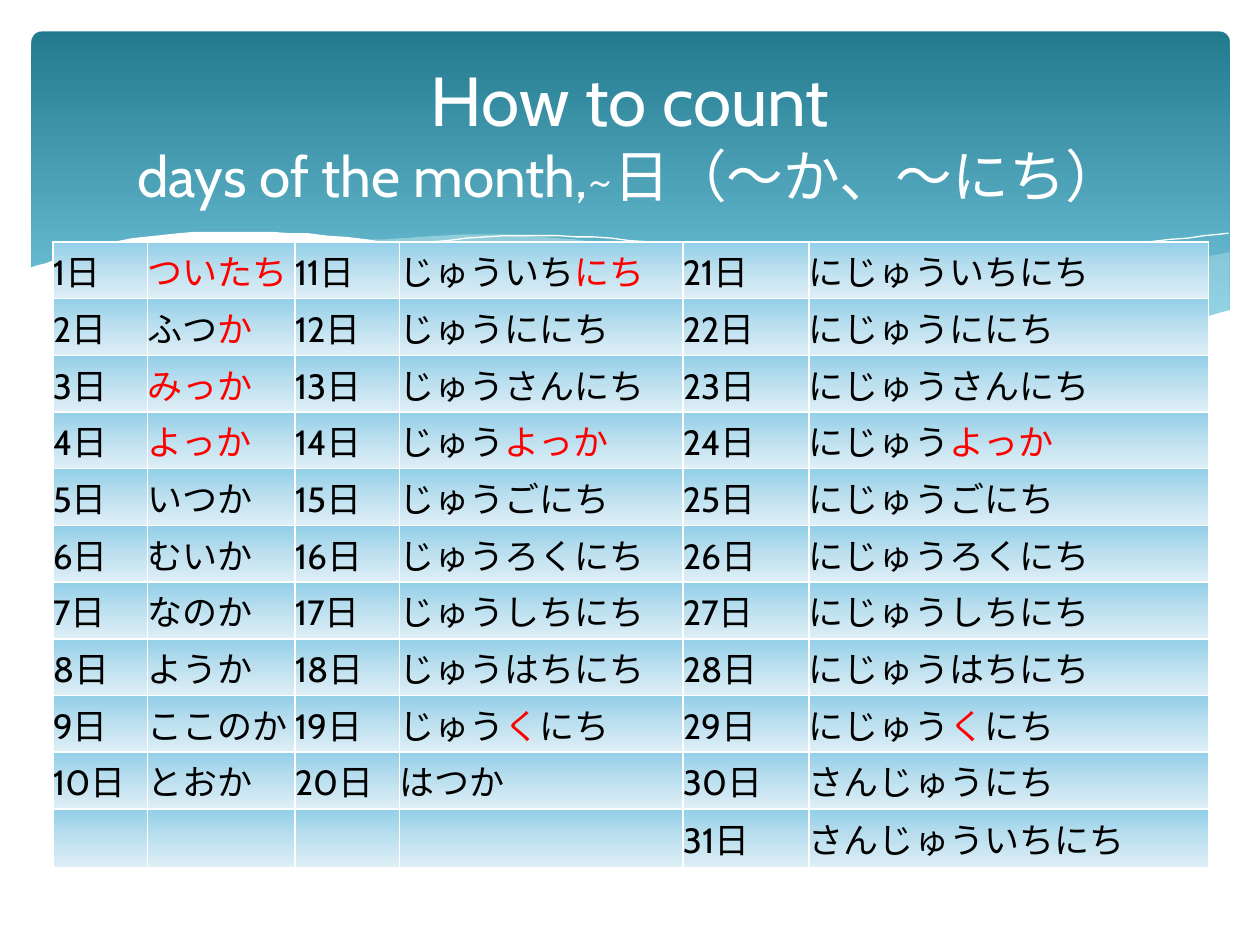
from dataclasses import dataclass

from lxml import etree
from pptx import Presentation
from pptx import util as u
from pptx.dml import color as col
from pptx.enum import shapes as sh
from pptx.enum import text as tx
from pptx.oxml import ns

PX = 9144
STEPS = 8


@dataclass(frozen=True)
class Theme:
    font: str = "Cabin"
    white: str = "FFFFFF"
    ink: str = "000000"
    red: str = "FF0000"
    foam: str = "DEF5FA"
    sea: tuple = ((0, "227A8F"), (90, "7ACBE0"))
    sky: tuple = ((0, "92CFE8"), (50, "BDE0EF"), (100, "DFEFF6"))
    head: float = 39.6
    sub: float = 32.4
    body: int = 20


@dataclass(frozen=True)
class Wave:
    edges: tuple
    fill: str = ""
    alpha: int = 100


T = Theme()

WAVES = (
    Wave((((976, 200), (861, 223), (753, 248), (661, 265)),
          ((661, 265), (769, 277), (889, 272), (976, 247))), T.foam, 29),
    Wave((((893, 273), (775, 254), (629, 222), (514, 198), (399, 186), (286, 191)),
          ((286, 191), (404, 211), (566, 248), (722, 274), (893, 273))), T.foam, 40),
    Wave((((309, 195), (416, 187), (533, 194), (695, 219), (907, 272)),)),
    Wave((((613, 257), (748, 223), (866, 199), (975, 185)),)),
    Wave((((977, 246), (875, 273), (778, 276), (648, 262), (447, 220),
           (292, 190), (177, 184), (95, 191), (23, 213)),
          ((23, 329), (977, 329))), T.white),
)

COLS = (75, 117, 83, 225, 100, 317)
ROWS = (45,) * 10 + (47,)

DAYS = (
    "|ついたち", "ふつ|か", "|みっか", "|よっか", "いつか",
    "むいか", "なのか", "ようか", "ここのか", "とおか",
    "じゅういち|にち", "じゅうににち", "じゅうさんにち", "じゅう|よっか", "じゅうごにち",
    "じゅうろくにち", "じゅうしちにち", "じゅうはちにち", "じゅう|く|にち", "はつか",
    "にじゅういちにち", "にじゅうににち", "にじゅうさんにち", "にじゅう|よっか", "にじゅうごにち",
    "にじゅうろくにち", "にじゅうしちにち", "にじゅうはちにち", "にじゅう|く|にち", "さんじゅうにち",
    "さんじゅういちにち",
)


def px(n: int) -> int:
    return n * PX


def rgb(code: str) -> col.RGBColor:
    return col.RGBColor.from_string(code)


def node(up, tag: str, **attrs):
    return etree.SubElement(up, ns.qn(tag), {k: str(v) for k, v in attrs.items()})


def tint(up, code: str) -> None:
    node(up, "a:srgbClr", val=code)


def blend(props, stops: tuple) -> None:
    grad = node(props, "a:gradFill", rotWithShape=1)
    row = node(grad, "a:gsLst")
    for pos, code in stops:
        tint(node(row, "a:gs", pos=pos * 1000), code)
    node(grad, "a:lin", ang=5400000, scaled=0)


def write(par, text: str, *, size: float = T.body, color: str = T.ink) -> None:
    run = par.add_run()
    run.text = text
    run.font.name = T.font
    run.font.size = u.Pt(size)
    run.font.color.rgb = rgb(color)


def panel(slide) -> None:
    box = slide.shapes.add_shape(
        sh.MSO_SHAPE.ROUNDED_RECTANGLE, px(25), px(25), px(951), px(270))
    box.adjustments[0] = 0.03
    blend(box.element.spPr, T.sea)
    box.line.fill.background()
    box.shadow.inherit = False


def mix(a: float, b: float, c: float, d: float, t: float) -> float:
    bend = 2 * a - 5 * b + 4 * c - d
    turn = 3 * (b - c) + d - a
    return b + t * (c - a + t * (bend + t * turn)) / 2


def smooth(knots: tuple) -> list:
    ring = (knots[0], *knots, knots[-1])
    dots = [tuple(mix(*axis, k / STEPS) for axis in zip(*ring[i:i + 4]))
            for i in range(len(knots) - 1) for k in range(STEPS)]
    return [*dots, knots[-1]]


def ripple(slide, wave: Wave) -> None:
    first, *rest = [dot for edge in wave.edges for dot in smooth(edge)]
    pen = slide.shapes.build_freeform(*first, scale=PX)
    pen.add_line_segments(rest, close=bool(wave.fill))
    form = pen.convert_to_shape()
    form.shadow.inherit = False
    if wave.fill:
        form.fill.solid()
        form.fill.fore_color.rgb = rgb(wave.fill)
        clr = form.element.spPr.find(".//" + ns.qn("a:srgbClr"))
        node(clr, "a:alpha", val=wave.alpha * 1000)
        form.line.fill.background()
    else:
        form.fill.background()
        form.line.color.rgb = rgb(T.white)
        form.line.width = u.Pt(0)


def dress(cell) -> None:
    cell.margin_left = cell.margin_right = cell.margin_top = cell.margin_bottom = 0
    cell.vertical_anchor = tx.MSO_ANCHOR.MIDDLE
    props = cell._tc.get_or_add_tcPr()
    for side in "LRTB":
        edge = node(props, f"a:ln{side}", w=u.Pt(1))
        tint(node(edge, "a:solidFill"), T.white)
    blend(props, T.sky)


def grid(slide) -> None:
    table = slide.shapes.add_table(
        len(ROWS), len(COLS), px(42), px(192), px(sum(COLS)), px(sum(ROWS))).table
    table.first_row = table.horz_banding = False
    for part, wide in zip(table.columns, COLS):
        part.width = px(wide)
    for part, high in zip(table.rows, ROWS):
        part.height = px(high)
    for cell in table.iter_cells():
        dress(cell)
    for i, name in enumerate(DAYS):
        block = min(i // 10, 2)
        row = i - 10 * block
        write(table.cell(row, 2 * block).text_frame.paragraphs[0], f"{i + 1}日")
        par = table.cell(row, 2 * block + 1).text_frame.paragraphs[0]
        for k, part in enumerate(name.split("|")):
            if part:
                write(par, part, color=T.red if k % 2 else T.ink)


def title(slide) -> None:
    head = slide.shapes.title
    head.left, head.top, head.width, head.height = map(px, (50, 37, 900, 137))
    frame = head.text_frame
    frame.auto_size = tx.MSO_AUTO_SIZE.NONE
    frame.vertical_anchor = tx.MSO_ANCHOR.MIDDLE
    par = frame.paragraphs[0]
    par.alignment = tx.PP_ALIGN.CENTER
    write(par, "How to count", size=T.head, color=T.white)
    par.add_line_break()
    write(par, "days of the month,~日（～か、～にち）", size=T.sub, color=T.white)
    head.element.getparent().append(head.element)


def main() -> None:
    deck = Presentation()
    deck.slide_width, deck.slide_height = px(1000), px(750)
    slide = deck.slides.add_slide(deck.slide_layouts[5])
    panel(slide)
    for wave in WAVES:
        ripple(slide, wave)
    grid(slide)
    title(slide)
    deck.save("out.pptx")


if __name__ == "__main__":
    main()
